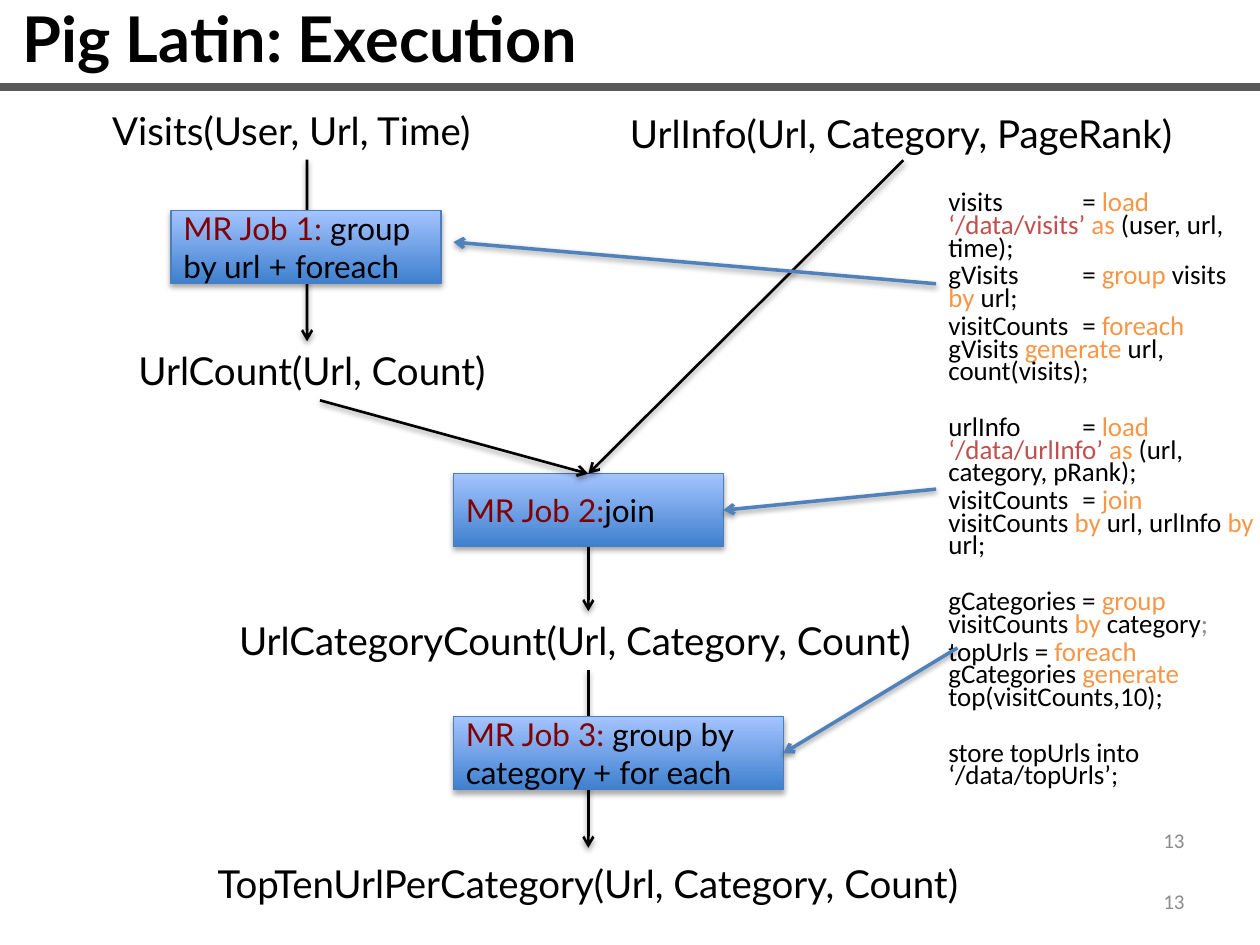
from dataclasses import dataclass

from lxml import etree
from pptx import Presentation
from pptx import util as u
from pptx.dml.color import RGBColor
from pptx.enum import shapes, text
from pptx.oxml import ns

Cm, Pt = u.Cm, u.Pt


@dataclass(frozen=True)
class Theme:
    font: str = "Lato"
    code_font: str = "Calibri"
    ink: str = "000000"
    job: str = "800000"
    keyword: str = "F79646"
    string: str = "C0504D"
    muted: str = "8C8C8C"
    rule: str = "595959"
    pointer: str = "4F81BD"
    box_line: str = "4B7EBC"
    box_dark: str = "3F80CE"
    box_light: str = "A4C4FF"
    title_size: float = 36
    relation_size: float = 22
    job_size: float = 18
    code_size: float = 15.4
    number_size: float = 12


THEME = Theme()
INK, KEYWORD, STRING = THEME.ink, THEME.keyword, THEME.string

# Each block is a list of statements, each statement a list of (words, colour).
CODE_BLOCKS = [
    [
        [("visits\t= ", INK), ("load ", KEYWORD), ("‘/data/visits’ ", STRING),
         ("as ", KEYWORD), ("(user, url, time);", INK)],
        [("gVisits\t= ", INK), ("group ", KEYWORD), ("visits ", INK),
         ("by ", KEYWORD), ("url;", INK)],
        [("visitCounts\t= ", INK), ("foreach ", KEYWORD), ("gVisits ", INK),
         ("generate ", KEYWORD), ("url, count(visits);", INK)],
    ],
    [
        [("urlInfo\t= ", INK), ("load ", KEYWORD), ("‘/data/urlInfo’ ", STRING),
         ("as ", KEYWORD), ("(url, category, pRank);", INK)],
        [("visitCounts\t= ", INK), ("join ", KEYWORD), ("visitCounts ", INK),
         ("by ", KEYWORD), ("url, urlInfo ", INK), ("by ", KEYWORD), ("url;", INK)],
    ],
    [
        [("gCategories = ", INK), ("group ", KEYWORD), ("visitCounts ", INK),
         ("by ", KEYWORD), ("category", INK), (";", THEME.muted)],
        [("topUrls = ", INK), ("foreach ", KEYWORD), ("gCategories ", INK),
         ("generate ", KEYWORD), ("top(visitCounts,10);", INK)],
    ],
    [
        [("store topUrls into ‘/data/topUrls’;", INK)],
    ],
]


def add_run(paragraph, words, size, color=INK, font=THEME.font, bold=False):
    run = paragraph.add_run()
    run.text = words
    run.font.name, run.font.size, run.font.bold = font, Pt(size), bold
    run.font.color.rgb = RGBColor.from_string(color)


def add_shadow(properties, alpha, distance):
    """Put a soft downward shadow in place of the inherited one."""
    effects = properties.find(ns.qn("a:effectLst"))
    if effects is None:
        effects = etree.SubElement(properties, ns.qn("a:effectLst"))
    shadow = etree.SubElement(effects, ns.qn("a:outerShdw"), blurRad="40000",
                              dist=str(distance), dir="5400000", rotWithShape="0")
    color = etree.SubElement(shadow, ns.qn("a:srgbClr"), val=INK)
    etree.SubElement(color, ns.qn("a:alpha"), val=str(alpha * 1000))


def add_textbox(slide, left, top, width, height, wrap=True):
    box = slide.shapes.add_textbox(Cm(left), Cm(top), Cm(width), Cm(height))
    box.text_frame.word_wrap = wrap
    return box


def add_relation(slide, words, left, top, width):
    box = add_textbox(slide, left, top, width, 1.19, wrap=False)
    box.text_frame.auto_size = text.MSO_AUTO_SIZE.SHAPE_TO_FIT_TEXT
    add_run(box.text_frame.paragraphs[0], words, THEME.relation_size)
    return box


def add_job(slide, name, task, left, top, width=5.44):
    box = slide.shapes.add_shape(shapes.MSO_SHAPE.RECTANGLE,
                                 Cm(left), Cm(top), Cm(width), Cm(1.47))
    box.fill.gradient()
    box.fill.gradient_angle = 90
    for stop, position, color in zip(box.fill.gradient_stops, (0, 1),
                                     (THEME.box_dark, THEME.box_light)):
        stop.position = position
        stop.color.rgb = RGBColor.from_string(color)
    box.line.color.rgb = RGBColor.from_string(THEME.box_line)
    box.line.width = Pt(0.75)
    box.shadow.inherit = False
    add_shadow(box.element.spPr, 35, 23000)
    box.text_frame.word_wrap = True
    box.text_frame.vertical_anchor = text.MSO_ANCHOR.MIDDLE
    paragraph = box.text_frame.paragraphs[0]
    paragraph.alignment = text.PP_ALIGN.LEFT
    add_run(paragraph, name, THEME.job_size, THEME.job)
    add_run(paragraph, task, THEME.job_size)
    return box


def add_line(slide, start, end, color, width):
    """Draw from start to end, each an (x, y) in cm or a (shape, side) pair."""
    connector = slide.shapes.add_connector(shapes.MSO_CONNECTOR.STRAIGHT, 0, 0, 0, 0)
    if isinstance(start[0], (int, float)):
        connector.begin_x, connector.begin_y = map(Cm, start)
    else:
        connector.begin_connect(*start)
    if isinstance(end[0], (int, float)):
        connector.end_x, connector.end_y = map(Cm, end)
    else:
        connector.end_connect(*end)
    connector.line.color.rgb = RGBColor.from_string(color)
    connector.line.width = Pt(width)
    return connector


def add_arrow(slide, start, end, color=INK, width=1.5):
    connector = add_line(slide, start, end, color, width)
    etree.SubElement(connector.line._get_or_add_ln(), ns.qn("a:tailEnd"), type="arrow")
    add_shadow(connector.element.spPr, 38, 20000)


def add_title(slide, words):
    title = slide.shapes.title
    title.left, title.top, title.width, title.height = map(Cm, (0.2, -0.13, 25.2, 1.8))
    title.text_frame.vertical_anchor = text.MSO_ANCHOR.TOP
    title.text_frame.auto_size = text.MSO_AUTO_SIZE.NONE
    paragraph = title.text_frame.paragraphs[0]
    paragraph.alignment = text.PP_ALIGN.LEFT
    add_run(paragraph, words, THEME.title_size, bold=True)


def add_slide_number(slide, top):
    box = add_textbox(slide, 18.21, top, 5.92, 1.02)
    box.text_frame.vertical_anchor = text.MSO_ANCHOR.MIDDLE
    paragraph = box.text_frame.paragraphs[0]
    paragraph.alignment = text.PP_ALIGN.RIGHT
    add_run(paragraph, "13", THEME.number_size, THEME.muted, THEME.code_font)


def add_code(slide):
    frame = add_textbox(slide, 18.87, 3.78, 6.71, 12.14).text_frame
    paragraph = frame.paragraphs[0]
    for block_index, block in enumerate(CODE_BLOCKS):
        for index, statement in enumerate(block):
            if block_index or index:
                paragraph = frame.add_paragraph()
            paragraph.line_spacing = 0.7
            opens_block = block_index > 0 and index == 0
            paragraph.space_before = Pt(19 if opens_block else 3)
            tabs = etree.SubElement(paragraph._p.get_or_add_pPr(), ns.qn("a:tabLst"))
            etree.SubElement(tabs, ns.qn("a:tab"), pos=str(Cm(2.7)), algn="l")
            for words, color in statement:
                add_run(paragraph, words, THEME.code_size, color, THEME.code_font)


def main():
    presentation = Presentation()
    presentation.slide_width, presentation.slide_height = Cm(25.4), Cm(19.05)
    slide = presentation.slides.add_slide(presentation.slide_layouts[5])

    rule = add_line(slide, (0, 1.75), (25.4, 1.75), THEME.rule, 4.5)
    etree.SubElement(rule.element.spPr, ns.qn("a:effectLst"))
    add_title(slide, "Pig Latin: Execution")

    url_info = add_textbox(slide, 12.52, 1.88, 12.88, 1.9).text_frame
    url_info.margin_left = url_info.margin_right = Cm(0.18)
    url_info.margin_top = url_info.margin_bottom = Cm(0.1)
    url_info.paragraphs[0].line_spacing = Pt(33.2)
    add_run(url_info.paragraphs[0], "UrlInfo(Url, Category, PageRank)", THEME.relation_size)
    for top in (16.43, 17.65):
        add_slide_number(slide, top)

    visits = add_relation(slide, "Visits(User, Url, Time)", 2.01, 2.03, 8.36)
    add_arrow(slide, (visits, 2), (6.19, 6.88))
    add_job(slide, "MR Job 1: ", "group by url + foreach", 3.45, 4.24)
    url_count = add_relation(slide, "UrlCount(Url, Count)", 2.54, 6.88, 7.82)

    join_job = add_job(slide, "MR Job 2:", "join", 9.14, 9.55)
    add_arrow(slide, (18.21, 3.23), (join_job, 0))
    add_arrow(slide, (url_count, 2), (join_job, 0))
    category_count = add_relation(slide, "UrlCategoryCount(Url, Category, Count)",
                                  4.57, 12.32, 14.58)
    add_arrow(slide, (join_job, 2), (category_count, 0))

    add_arrow(slide, (category_count, 2), (11.86, 17.09))
    top_job = add_job(slide, "MR Job 3: ", "group by category + for each", 9.14, 14.45, 6.65)
    add_relation(slide, "TopTenUrlPerCategory(Url, Category, Count)", 4.14, 17.22, 16.79)

    add_code(slide)
    for start, end in (((18.87, 5.72), (9.14, 4.88)),
                       ((18.87, 9.86), (join_job, 3)),
                       ((19.3, 13.06), (top_job, 3))):
        add_arrow(slide, start, end, THEME.pointer, 2)

    presentation.save("out.pptx")


if __name__ == "__main__":
    main()
